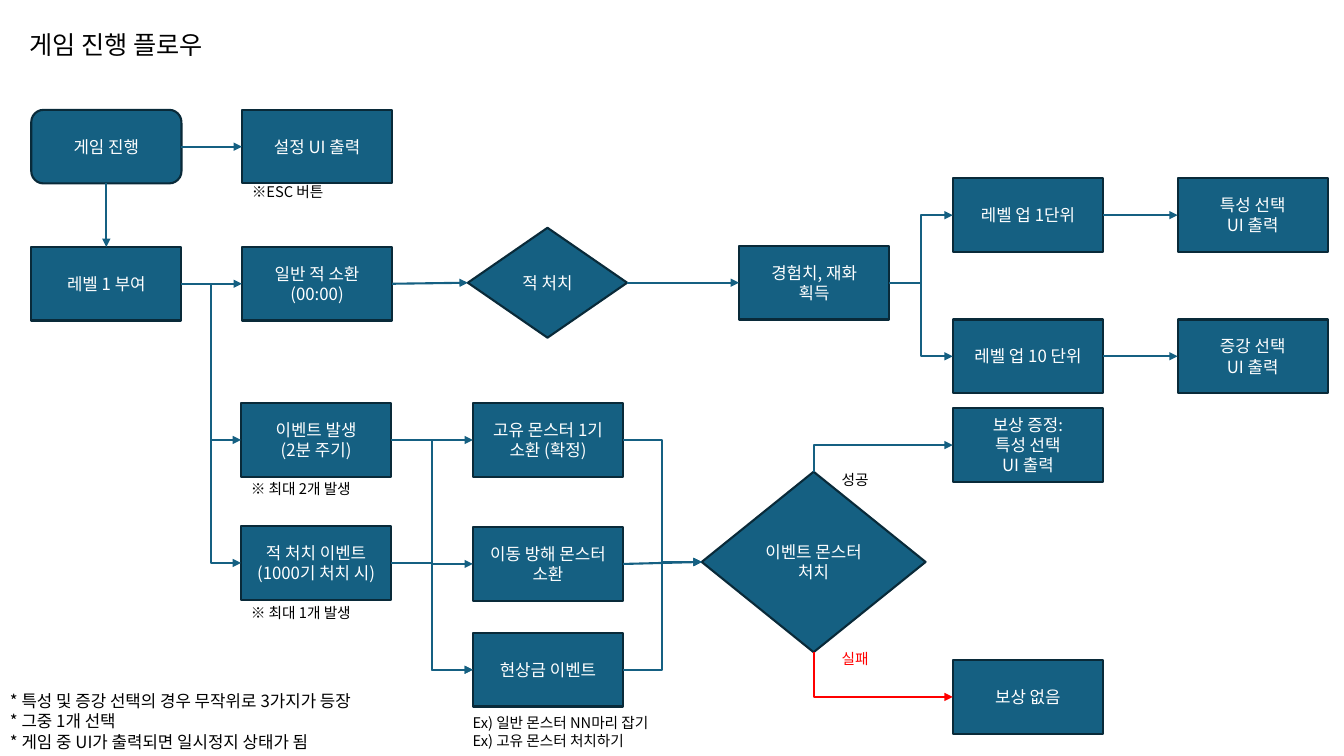
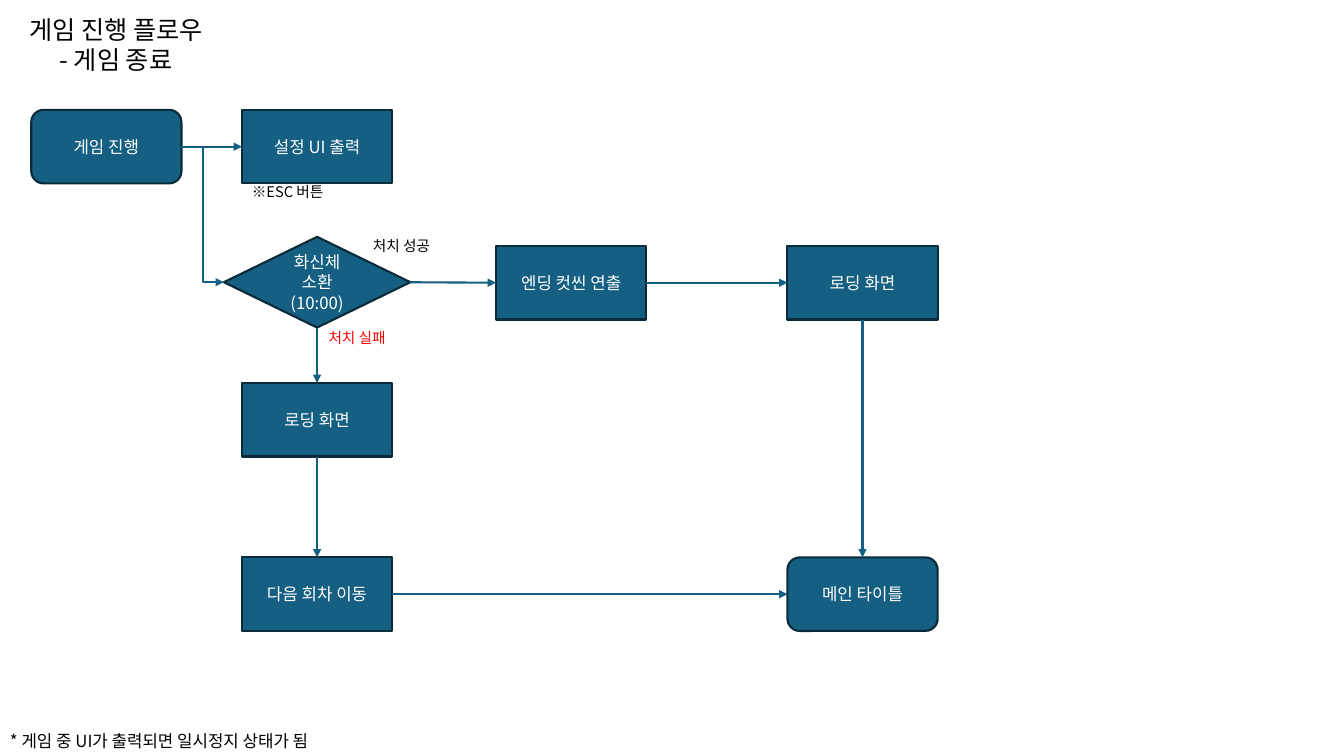
from pptx import Presentation
from pptx.dml.color import RGBColor
from pptx.enum.shapes import MSO_CONNECTOR as Route, MSO_SHAPE as Shape
from pptx.enum.text import MSO_ANCHOR as Anchor, PP_ALIGN as Align
from pptx.oxml.ns import qn
from pptx.util import Inches, Pt
from lxml import etree

TEAL = RGBColor(0x15, 0x60, 0x82)
NAVY = RGBColor(0x09, 0x2A, 0x39)
WHITE = RGBColor(0xFF, 0xFF, 0xFF)
BLACK = RGBColor(0, 0, 0)
RED = RGBColor(0xFF, 0, 0)
FONT = "Noto Sans CJK KR"
LINE_WIDTH = Pt(1.5)
BOX_SIZE = (1.49, 0.73)
FIRST, SECOND = 0.31, 2.4  # left edges of the first two columns
TOP_ROW, MAIN_ROW = 1.09, 2.45
TOP, LEFT, BOTTOM, RIGHT = range(4)  # connection sites


# Text
def write(frame, text, size=12, color=BLACK, align=Align.LEFT, margin=None):
    frame.word_wrap = True
    frame.vertical_anchor = Anchor.MIDDLE
    if margin is not None:
        frame.margin_left = frame.margin_right = Inches(margin)
        frame.margin_top = frame.margin_bottom = Inches(margin)
    for index, line in enumerate(text.split("\n")):
        para = frame.paragraphs[0] if index == 0 else frame.add_paragraph()
        para.alignment = align
        span = para.add_run()
        span.text = line
        span.font.size = Pt(size)
        span.font.color.rgb = color
        span.font.name = FONT
        etree.SubElement(span.font._element, qn("a:ea"), typeface=FONT)


def add_label(page, text, left, top, width=1.32, height=0.18, size=10.5, **text_format):
    box = page.shapes.add_textbox(*map(Inches, (left, top, width, height)))
    write(box.text_frame, text, size=size, **text_format)


def add_title(page, text):
    add_label(page, text, 0, 0, 2.3, 0.88, size=18, align=Align.CENTER)


# Flow chart elements
def add_step(page, text, left, top, size=BOX_SIZE, kind=Shape.RECTANGLE, margin=None):
    step = page.shapes.add_shape(kind, *map(Inches, (left, top, *size)))
    step.shadow.inherit = False
    step.fill.solid()
    step.fill.fore_color.rgb = TEAL
    step.line.color.rgb = NAVY
    step.line.width = LINE_WIDTH
    write(step.text_frame, text, color=WHITE, align=Align.CENTER, margin=margin)
    return step


def link(page, start, end, start_side=RIGHT, end_side=LEFT, route=Route.STRAIGHT,
         color=TEAL, arrow="a:tailEnd"):
    connector = page.shapes.add_connector(route, 0, 0, 0, 0)
    connector.begin_connect(start, start_side)
    connector.end_connect(end, end_side)
    connector.line.color.rgb = color
    connector.line.width = LINE_WIDTH
    properties = connector._element.spPr
    etree.SubElement(properties.find(qn("a:ln")), qn(arrow), type="triangle")
    etree.SubElement(properties, qn("a:effectLst"))
    return connector


def link_corner(page, decision, side, outcome, color=TEAL):
    """One right-angled turn, laid from the outcome back to the decision."""
    connector = link(page, outcome, decision, LEFT, side, Route.ELBOW, color, "a:headEnd")
    geometry = connector._element.spPr.find(qn("a:prstGeom"))
    geometry.set("prst", "bentConnector2")


def link_row(page, *steps):
    for start, end in zip(steps, steps[1:]):
        link(page, start, end)


def link_column(page, *steps):
    for start, end in zip(steps, steps[1:]):
        link(page, start, end, BOTTOM, TOP)


def link_bent(page, starts, ends):
    for start in starts:
        for end in ends:
            link(page, start, end, route=Route.ELBOW)


# Parts that both slides share
def start_page(deck, title):
    page = deck.slides.add_slide(deck.slide_layouts[6])
    add_title(page, title)
    play = add_step(page, "게임 진행", FIRST, TOP_ROW, kind=Shape.ROUNDED_RECTANGLE)
    settings = add_step(page, "설정 UI 출력", SECOND, TOP_ROW)
    add_label(page, "※ESC 버튼", SECOND, 1.81, width=0.92)
    link_row(page, play, settings)
    return page, play


def build_play_flow(deck):
    page, play = start_page(deck, "게임 진행 플로우")
    third, sixth, seventh = 4.69, 9.45, 11.68

    # Normal enemies and level ups
    level = add_step(page, "레벨 1 부여", FIRST, MAIN_ROW)
    spawn = add_step(page, "일반 적 소환\n(00:00)", SECOND, MAIN_ROW)
    kill = add_step(page, "적 처치", 4.64, 2.26, (1.58, 1.09), Shape.DIAMOND)
    gain = add_step(page, "경험치, 재화\n획득", 7.33, 2.44)
    link_column(page, play, level)
    link_row(page, level, spawn, kill, gain)
    for top, unit, choice in ((1.77, "레벨 업 1단위", "특성 선택"),
                              (3.17, "레벨 업 10 단위", "증강 선택")):
        level_up = add_step(page, unit, sixth, top)
        picker = add_step(page, f"{choice}\nUI 출력", seventh, top)
        link_bent(page, [gain], [level_up])
        link_row(page, level_up, picker)

    # Events and their monsters
    timed = add_step(page, "이벤트 발생\n(2분 주기)", 2.39, 4)
    counted = add_step(page, "적 처치 이벤트\n(1000기 처치 시)", 2.39, 5.22)
    unique = add_step(page, "고유 몬스터 1기 소환 (확정)", third, 4)
    blocker = add_step(page, "이동 방해 몬스터 소환", third, 5.23)
    bounty = add_step(page, "현상금 이벤트", third, 6.28)
    fight = add_step(page, "이벤트 몬스터\n처치", 6.96, 4.68, (2.22, 1.79),
                     Shape.DIAMOND, margin=0)
    link_bent(page, [level], [timed, counted])
    link_row(page, timed, unique)
    link_bent(page, [timed], [blocker, bounty])
    link_bent(page, [counted], [bounty])
    link_bent(page, [unique, bounty], [fight])
    link_row(page, blocker, fight)

    # Outcomes
    reward = add_step(page, "보상 증정:\n특성 선택\nUI 출력", sixth, 4.05)
    nothing = add_step(page, "보상 없음", sixth, 6.55)
    link_corner(page, fight, TOP, reward)
    link_corner(page, fight, BOTTOM, nothing, RED)
    add_label(page, "성공", 8.25, 4.67)
    add_label(page, "실패", 8.25, 6.44, color=RED)

    # Notes
    add_label(page, "※ 최대 2개 발생", 2.39, 4.76)
    add_label(page, "※ 최대 1개 발생", 2.39, 5.99)
    add_label(page, "Ex) 일반 몬스터 NN마리 잡기\nEx) 고유 몬스터 처치하기",
              4.59, 7.04, 2.15, 0.44)
    add_label(page, "* 특성 및 증강 선택의 경우 무작위로 3가지가 등장\n* 그중 1개 선택\n"
                    "* 게임 중 UI가 출력되면 일시정지 상태가 됨", 0, 6.81, 4.25, 0.69, size=12)


def build_ending_flow(deck):
    page, play = start_page(deck, "게임 진행 플로우\n- 게임 종료")
    right, last_row = 7.81, 5.53

    # Final fight and success branch
    boss = add_step(page, "화신체 소환\n(10:00)", 2.22, 2.35, (1.85, 0.9),
                    Shape.FLOWCHART_DECISION)
    ending = add_step(page, "엔딩 컷씬 연출", 4.92, 2.44)
    loading = add_step(page, "로딩 화면", right, 2.44)
    main_title = add_step(page, "메인 타이틀", right, last_row,
                          kind=Shape.ROUNDED_RECTANGLE)
    link_bent(page, [play], [boss])
    link_row(page, boss, ending, loading)
    link_column(page, loading, main_title)

    # Failure branch
    retry_loading = add_step(page, "로딩 화면", SECOND, 3.8)
    next_round = add_step(page, "다음 회차 이동", SECOND, last_row)
    link_column(page, boss, retry_loading, next_round)
    link_row(page, next_round, main_title)

    # Notes
    add_label(page, "처치 성공", 3.6, 2.35)
    add_label(page, "처치 실패", 3.16, 3.26, color=RED)
    add_label(page, "* 게임 중 UI가 출력되면 일시정지 상태가 됨", 0, 7.23, 4.25, 0.24, size=12)


def main():
    deck = Presentation()
    deck.slide_width, deck.slide_height = Inches(13.33), Inches(7.5)
    build_play_flow(deck)
    build_ending_flow(deck)
    deck.save("out.pptx")


if __name__ == "__main__":
    main()
